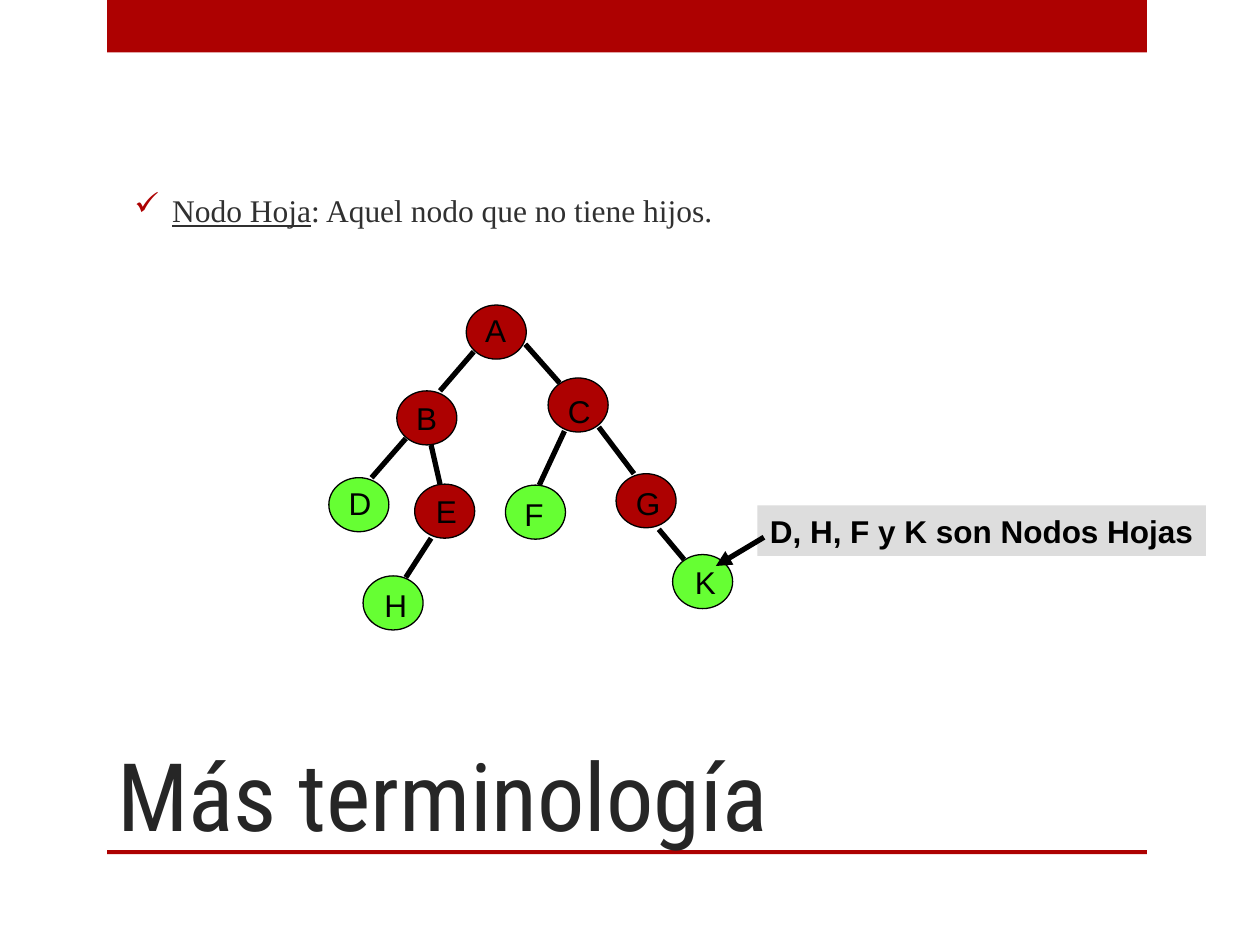
from lxml import etree
from pptx import Presentation
from pptx.dml.color import RGBColor
from pptx.enum.shapes import MSO_CONNECTOR, MSO_SHAPE
from pptx.enum.text import MSO_ANCHOR, PP_ALIGN
from pptx.oxml.ns import qn
from pptx.util import Cm, Pt

RED = RGBColor(0xAD, 0x01, 0x01)
GREEN = RGBColor(0x66, 0xFF, 0x33)
GRAY = RGBColor(0xDD, 0xDD, 0xDD)
BLACK = RGBColor(0, 0, 0)
TITLE_INK = RGBColor(0x26, 0x26, 0x26)
BODY_INK = RGBColor(0x30, 0x30, 0x30)

RECT, OVAL = MSO_SHAPE.RECTANGLE, MSO_SHAPE.OVAL
STRAIGHT = MSO_CONNECTOR.STRAIGHT
MIDDLE, BOTTOM = MSO_ANCHOR.MIDDLE, MSO_ANCHOR.BOTTOM
LEFT, CENTER = PP_ALIGN.LEFT, PP_ALIGN.CENTER

NODE_W, NODE_H = 1.21, 1.09
LABEL_W, LABEL_H = 0.69, 1.02

# letter: (left, top, fill, label offset inside the node)
# B has no offset: its letter is centred in the node itself
NODES = {
    "A": (2.77, 0, RED, (0.13, 0)),
    "B": (1.37, 1.73, RED, None),
    "C": (4.42, 1.47, RED, (0.15, 0.15)),
    "D": (0, 3.48, GREEN, (0.15, 0)),
    "E": (1.73, 3.61, RED, (0.18, 0.03)),
    "H": (0.69, 5.46, GREEN, (0.18, 0.08)),
    "F": (3.56, 3.63, GREEN, (0.13, 0.08)),
    "G": (5.79, 3.4, RED, (0.15, 0.08)),
    "K": (6.93, 5.03, GREEN, (0.2, 0.05)),
}

# parent and child: start x, start y, end x, end y
BRANCHES = {
    "AB": (2.92, 0.94, 2.24, 1.73),
    "BD": (1.55, 2.69, 0.86, 3.48),
    "AC": (3.96, 0.79, 4.65, 1.57),
    "CG": (5.44, 2.46, 6.15, 3.4),
    "BE": (2.06, 2.82, 2.24, 3.61),
    "CF": (4.75, 2.54, 4.24, 3.63),
    "EH": (2.06, 4.7, 1.55, 5.49),
    "GK": (6.65, 4.52, 7.16, 5.13),
}


def set_font(paragraph, name, size, color, bold=False):
    font = paragraph.font
    font.name, font.size, font.bold = name, Pt(size), bold
    font.color.rgb = color


def add_filled(slide, preset, left, top, width, height, fill, outlined=False):
    shape = slide.shapes.add_shape(preset, Cm(left), Cm(top), Cm(width), Cm(height))
    shape.shadow.inherit = False
    shape.fill.solid()
    shape.fill.fore_color.rgb = fill
    if outlined:
        shape.line.color.rgb = BLACK
        shape.line.width = Pt(0.75)
    else:
        shape.line.fill.background()
    return shape


def add_text_box(slide, left, top, width, height):
    box = slide.shapes.add_textbox(Cm(left), Cm(top), Cm(width), Cm(height))
    box.text_frame.word_wrap = True
    return box.text_frame


def add_line(slide, x1, y1, x2, y2, arrow=False):
    line = slide.shapes.add_connector(STRAIGHT, Cm(x1), Cm(y1), Cm(x2), Cm(y2))
    line.line.color.rgb = BLACK
    line.line.width = Pt(3)
    if arrow:
        etree.SubElement(line.line._get_or_add_ln(), qn("a:tailEnd"), type="triangle")
    etree.SubElement(line._element.spPr, qn("a:effectLst"))


def add_frame(slide, left, width):
    """Top band and rule under the title."""
    add_filled(slide, RECT, left, 0, width, 1.06, RED)
    add_filled(slide, RECT, left, 17.14, width, 0.08, RED)


def add_title(slide, left, top, width, height):
    frame = add_text_box(slide, left, top, width, height)
    frame.vertical_anchor = BOTTOM
    frame.margin_bottom = 0
    title = frame.paragraphs[0]
    title.text = "Más terminología"
    set_font(title, "Roboto Condensed", 54, TITLE_INK)


def add_definition(slide, left, top, width, height):
    frame = add_text_box(slide, left, top, width, height)
    frame.vertical_anchor = MIDDLE
    definition = frame.paragraphs[0]

    # Red check mark with a hanging indent
    properties = definition._p.get_or_add_pPr()
    properties.set("marL", str(Cm(0.76)))
    properties.set("indent", str(Cm(-0.76)))
    bullet_color = etree.SubElement(properties, qn("a:buClr"))
    etree.SubElement(bullet_color, qn("a:srgbClr"), val=str(RED))
    etree.SubElement(properties, qn("a:buChar"), char="✓")

    set_font(definition, "Times New Roman", 18, BODY_INK)
    term = definition.add_run()
    term.text = "Nodo Hoja"
    term.font.underline = True
    definition.add_run().text = ": Aquel nodo que no tiene hijos."


def add_tree(slide, left, top):
    letters = []
    for letter, (x, y, fill, offset) in NODES.items():
        node = add_filled(slide, OVAL, left + x, top + y, NODE_W, NODE_H, fill, True)
        if offset is None:
            frame = node.text_frame
            frame.word_wrap = False
            frame.vertical_anchor = MIDDLE
            frame.paragraphs[0].alignment = CENTER
            letters.append((letter, frame))

    for x1, y1, x2, y2 in BRANCHES.values():
        add_line(slide, left + x1, top + y1, left + x2, top + y2)

    # Letters lie above the branches
    for letter, (x, y, _, offset) in NODES.items():
        if offset is not None:
            dx, dy = offset
            frame = add_text_box(slide, left + x + dx, top + y + dy, LABEL_W, LABEL_H)
            letters.append((letter, frame))

    for letter, frame in letters:
        label = frame.paragraphs[0]
        label.text = letter
        set_font(label, "Arial", 18, BLACK)


def add_leaf_note(slide, left, top, width, height):
    note = add_filled(slide, RECT, left, top, width, height, GRAY)
    note.text_frame.word_wrap = False
    text = note.text_frame.paragraphs[0]
    text.text = "D, H, F y K son Nodos Hojas"
    text.alignment = LEFT
    set_font(text, "Arial", 18, BLACK, bold=True)
    # Arrow to leaf K
    add_line(slide, left + 0.13, top + 0.64, left - 0.84, top + 1.22, arrow=True)


def main():
    presentation = Presentation()
    presentation.slide_width, presentation.slide_height = Cm(25.4), Cm(19.05)
    slide = presentation.slides.add_slide(presentation.slide_layouts[6])
    add_frame(slide, 2.16, 20.96)
    add_title(slide, 2.11, 12.7, 18.85, 4.45)
    add_definition(slide, 2.46, 2.51, 21.59, 3.43)
    add_tree(slide, 6.63, 6.15)
    add_leaf_note(slide, 15.27, 10.19, 9.04, 1.02)
    presentation.save("out.pptx")


if __name__ == "__main__":
    main()
